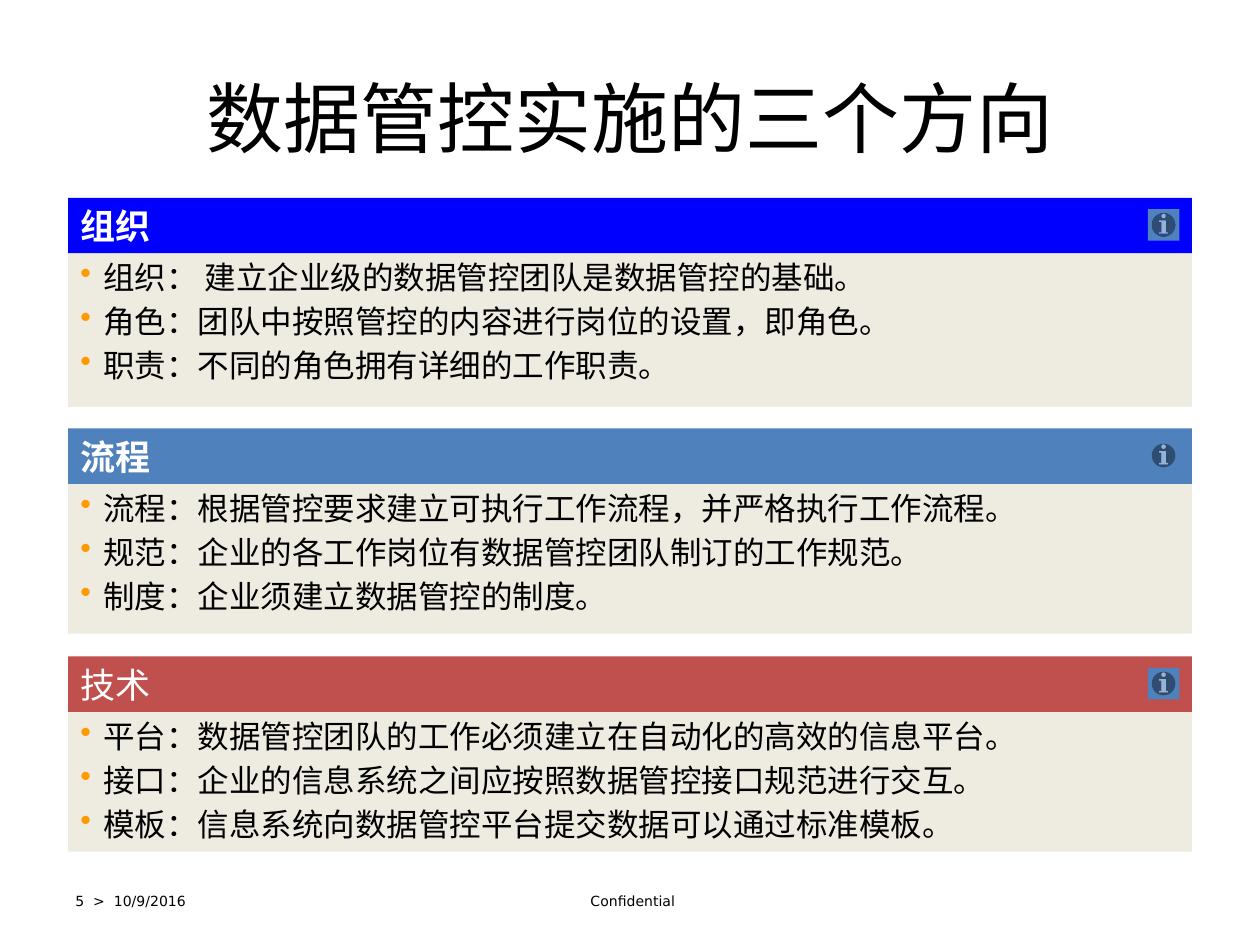
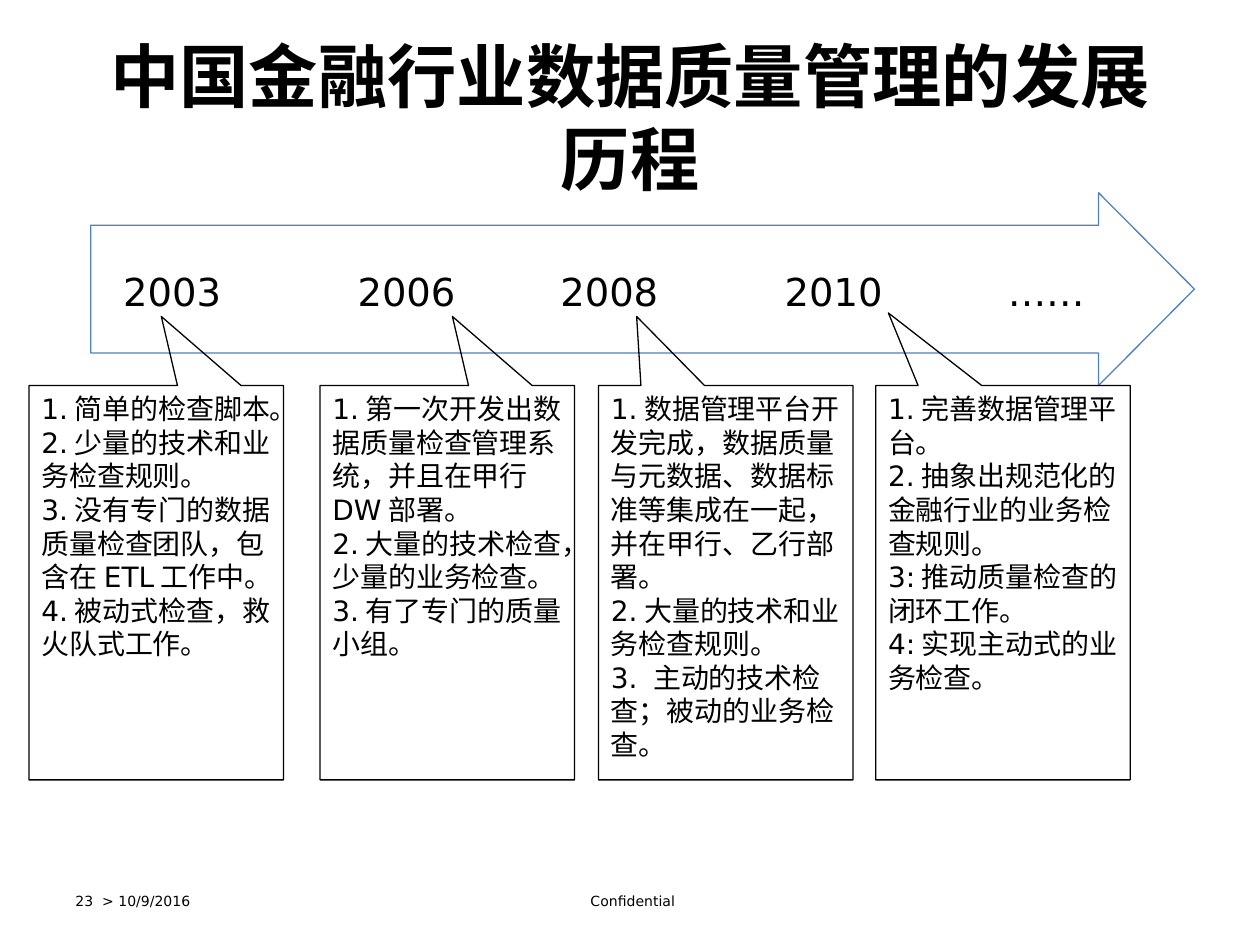
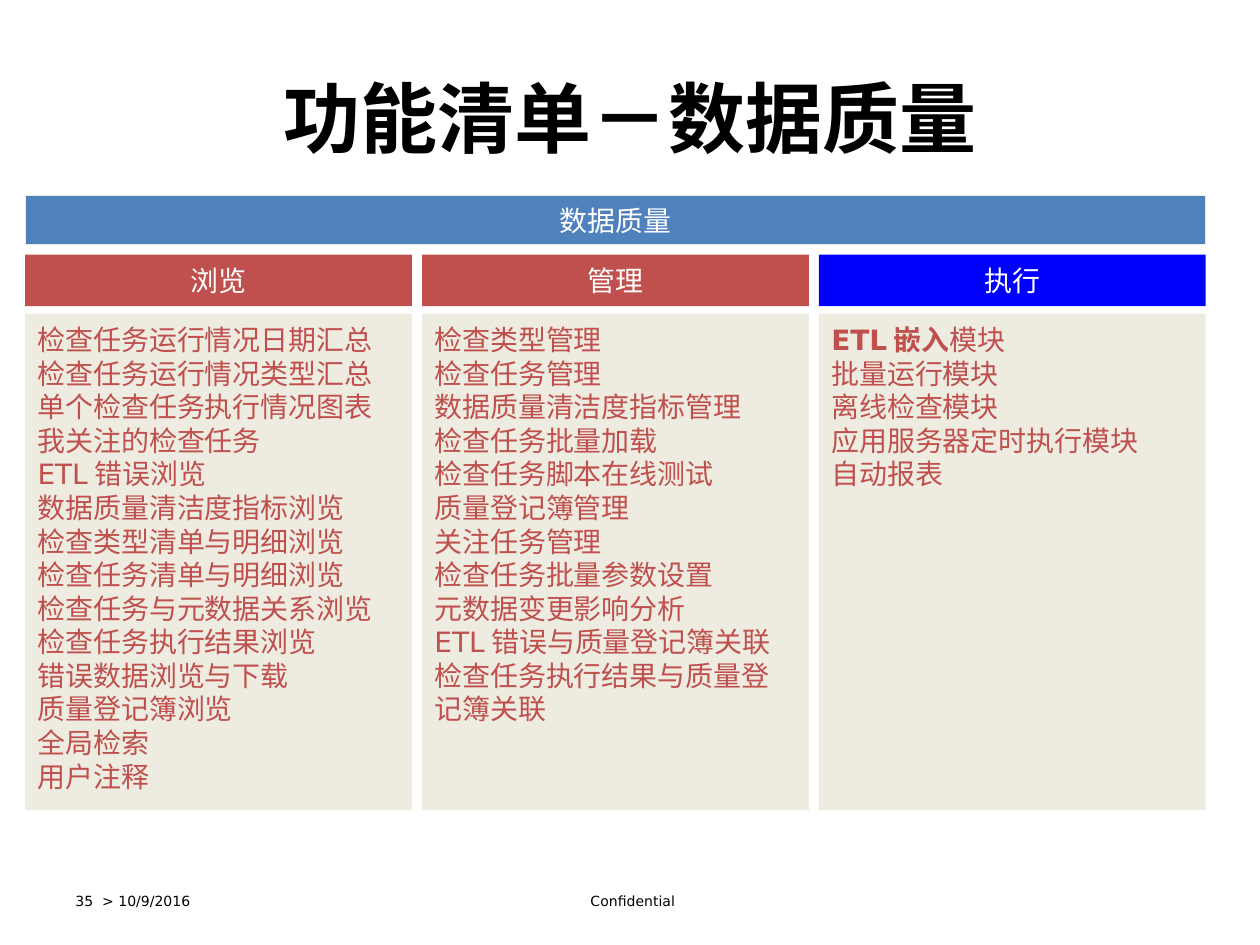
from lxml import etree
from pptx import Presentation
from pptx.dml.color import RGBColor
from pptx.enum import shapes, text
from pptx.oxml import ns
from pptx.util import Inches, Pt

BLACK, WHITE, BLUE = "000000", "FFFFFF", "0000FF"
STEEL, BRICK, SAND, ORANGE = "4F81BD", "C0504D", "EEECE1", "FF9900"
BODY_FONT, TITLE_FONT, WIDE_TITLE_FONT = "DejaVu Sans", "Calibri", "Noto Sans CJK SC"
SHAPE = shapes.MSO_SHAPE
LEFT, CENTER = text.PP_ALIGN.LEFT, text.PP_ALIGN.CENTER
TOP, MIDDLE = text.MSO_ANCHOR.TOP, text.MSO_ANCHOR.MIDDLE

# Slide 1: heading, colour, bold heading, top, body height, list
DIRECTIONS = [
    ("组织", BLUE, True, 1.57, 1.23, [
        "组织： 建立企业级的数据管控团队是数据管控的基础。",
        "角色：团队中按照管控的内容进行岗位的设置，即角色。",
        "职责：不同的角色拥有详细的工作职责。"]),
    ("流程", STEEL, True, 3.4, 1.2, [
        "流程：根据管控要求建立可执行工作流程，并严格执行工作流程。",
        "规范：企业的各工作岗位有数据管控团队制订的工作规范。",
        "制度：企业须建立数据管控的制度。"]),
    ("技术", BRICK, False, 5.21, 1.12, [
        "平台：数据管控团队的工作必须建立在自动化的高效的信息平台。",
        "接口：企业的信息系统之间应按照数据管控接口规范进行交互。",
        "模板：信息系统向数据管控平台提交数据可以通过标准模板。"]),
]

# Slide 2: year labels with their left edges; callouts with left edge and tip
YEARS = [("2003", 0.88), ("2006", 2.74), ("2008", 4.35), ("2010", 6.13), ("……", 7.9)]
STAGES = [
    (0.23, (0.02, -0.675), [
        "1.简单的检查脚本。",
        "2.少量的技术和业务检查规则。",
        "3.没有专门的数据质量检查团队，包含在ETL工作中。",
        "4.被动式检查，救火队式工作。"]),
    (2.54, (0.02, -0.675), [
        "1.第一次开发出数据质量检查管理系统，并且在甲行DW部署。",
        "2.大量的技术检查，少量的业务检查。",
        "3.有了专门的质量小组。"]),
    (4.75, (-0.35, -0.675), [
        "1.数据管理平台开发完成，数据质量与元数据、数据标准等集成在一起，并在甲行、乙行部署。",
        "2.大量的技术和业务检查规则。",
        "3. 主动的技术检查；被动的业务检查。"]),
    (6.95, (-0.45, -0.684), [
        "1.完善数据管理平台。",
        "2.抽象出规范化的金融行业的业务检查规则。",
        "3:推动质量检查的闭环工作。",
        "4:实现主动式的业务检查。"]),
]

# Slide 3: heading, colour, list; text before "|" is bold
FUNCTIONS = [
    ("浏览", BRICK, [
        "检查任务运行情况日期汇总", "检查任务运行情况类型汇总", "单个检查任务执行情况图表",
        "我关注的检查任务", "ETL错误浏览", "数据质量清洁度指标浏览", "检查类型清单与明细浏览",
        "检查任务清单与明细浏览", "检查任务与元数据关系浏览", "检查任务执行结果浏览",
        "错误数据浏览与下载", "质量登记簿浏览", "全局检索", "用户注释"]),
    ("管理", BRICK, [
        "检查类型管理", "检查任务管理", "数据质量清洁度指标管理", "检查任务批量加载",
        "检查任务脚本在线测试", "质量登记簿管理", "关注任务管理", "检查任务批量参数设置",
        "元数据变更影响分析", "ETL错误与质量登记簿关联", "检查任务执行结果与质量登记簿关联"]),
    ("执行", BLUE, [
        "ETL嵌入|模块", "批量运行模块", "离线检查模块", "应用服务器定时执行模块", "自动报表"]),
]


def rgb(color):
    return RGBColor.from_string(color)


def style(span, size, color, bold=False, font=BODY_FONT):
    span.font.name, span.font.size, span.font.bold = font, Pt(size), bold
    span.font.color.rgb = rgb(color)


def write(box, lines, size, color=BLACK, bold=False, align=LEFT, anchor=TOP):
    frame = box.text_frame
    frame.word_wrap, frame.vertical_anchor = True, anchor
    frame.text = "\n".join(line.replace("|", "") for line in lines)
    for para, line in zip(frame.paragraphs, lines):
        para.alignment = align
        lead, _, rest = line.rpartition("|")
        if lead:
            para.text = lead
            para.add_run().text = rest
        for span in para.runs:
            style(span, size, color, bold or span.text == lead)


def add_bullets(box):
    for para in box.text_frame.paragraphs:
        para.space_after = Pt(3.6)
        props = para._p.get_or_add_pPr()
        props.set("marL", str(Inches(0.18)))
        props.set("indent", str(-Inches(0.18)))
        tint = etree.SubElement(props, ns.qn("a:buClr"))
        etree.SubElement(tint, ns.qn("a:srgbClr"), val=ORANGE)
        etree.SubElement(props, ns.qn("a:buChar"), char="•")


def add_block(page, left, top, width, height, fill=None, line=None, kind=SHAPE.RECTANGLE):
    box = page.shapes.add_shape(kind, *map(Inches, (left, top, width, height)))
    box.shadow.inherit = False
    if fill:
        box.fill.solid()
        box.fill.fore_color.rgb = rgb(fill)
    else:
        box.fill.background()
    if line:
        box.line.color.rgb, box.line.width = rgb(line), Pt(0.75)
    else:
        box.line.fill.background()
    return box


def add_label(page, label, left, top, width, height, size, **options):
    box = page.shapes.add_textbox(*map(Inches, (left, top, width, height)))
    write(box, [label], size, **options)


def add_page(deck, title, footer, size=44, bold=True, font=TITLE_FONT):
    """Start a slide with the shared title and footers."""
    page = deck.slides.add_slide(deck.slide_layouts[5])
    head = page.shapes.title
    head.left, head.top, head.width, head.height = map(Inches, (0.5, 0.3, 9, 1.25))
    frame = head.text_frame
    frame.text = title
    frame.auto_size, frame.vertical_anchor = text.MSO_AUTO_SIZE.NONE, MIDDLE
    frame.paragraphs[0].alignment = CENTER
    style(frame.paragraphs[0].runs[0], size, BLACK, bold, font)
    add_label(page, footer, 0.5, 6.95, 2.33, 0.4, 8, anchor=MIDDLE)
    add_label(page, " Confidential", 3.42, 6.95, 3.17, 0.4, 8, align=CENTER, anchor=MIDDLE)
    return page


def add_direction(page, left, top, width, body_height, heading, color, bold, lines):
    """Bulleted panel under a coloured band with an information button."""
    body = add_block(page, left, top + 0.43, width, body_height, SAND)
    write(body, lines, 18)
    add_bullets(body)
    band = add_block(page, left, top, width, 0.44, color)
    write(band, [heading], 20, WHITE, bold, anchor=MIDDLE)
    add_block(page, left + width - 0.35, top + 0.09, 0.25, 0.25, STEEL,
              kind=SHAPE.ACTION_BUTTON_INFORMATION)


def add_timeline(page, left, top, width, height):
    arrow = add_block(page, left, top, width, height, line=STEEL, kind=SHAPE.RIGHT_ARROW)
    arrow.adjustments[0], arrow.adjustments[1] = 0.663, 0.497
    for year, year_left in YEARS:
        add_label(page, year, year_left, top + 0.55, 1.07, 0.47, 22)


def add_stage(page, left, top, width, height, tip, lines):
    callout = add_block(page, left, top, width, height, line=BLACK,
                        kind=SHAPE.RECTANGULAR_CALLOUT)
    callout.adjustments[0], callout.adjustments[1] = tip
    write(callout, lines, 16)


def add_function_column(page, left, top, width, heading, color, lines):
    band = add_block(page, left, top, width, 0.41, color)
    write(band, [heading], 16, WHITE, align=CENTER, anchor=MIDDLE)
    body = add_block(page, left, top + 0.47, width, 3.94, SAND)
    write(body, lines, 16, BRICK)
    for box in (band, body):
        box.text_frame.margin_top = box.text_frame.margin_bottom = Inches(0.07)


def build_directions(deck):
    page = add_page(deck, "数据管控实施的三个方向", "5  >  10/9/2016", bold=False)
    for heading, color, bold, top, body_height, lines in DIRECTIONS:
        add_direction(page, 0.54, top, 8.92, body_height, heading, color, bold, lines)


def build_history(deck):
    page = add_page(deck, "中国金融行业数据质量管理的发展历程", "23  > 10/9/2016",
                    size=39.6, font=WIDE_TITLE_FONT)
    add_timeline(page, 0.72, 1.53, 8.76, 1.53)
    for left, tip, lines in STAGES:
        add_stage(page, left, 3.06, 2.02, 3.13, tip, lines)


def build_functions(deck):
    page = add_page(deck, "功能清单－数据质量", "35  > 10/9/2016")
    left, width, gap = 0.2, 3.07, 0.08
    banner = add_block(page, left, 1.55, 3 * width + 2 * gap, 0.39, STEEL, SAND)
    write(banner, ["数据质量"], 16, WHITE, align=CENTER, anchor=MIDDLE)
    for index, column in enumerate(FUNCTIONS):
        add_function_column(page, left + index * (width + gap), 2.02, width, *column)


def main():
    deck = Presentation()
    deck.slide_width, deck.slide_height = Inches(10), Inches(7.5)
    build_directions(deck)
    build_history(deck)
    build_functions(deck)
    deck.save("out.pptx")


if __name__ == "__main__":
    main()
